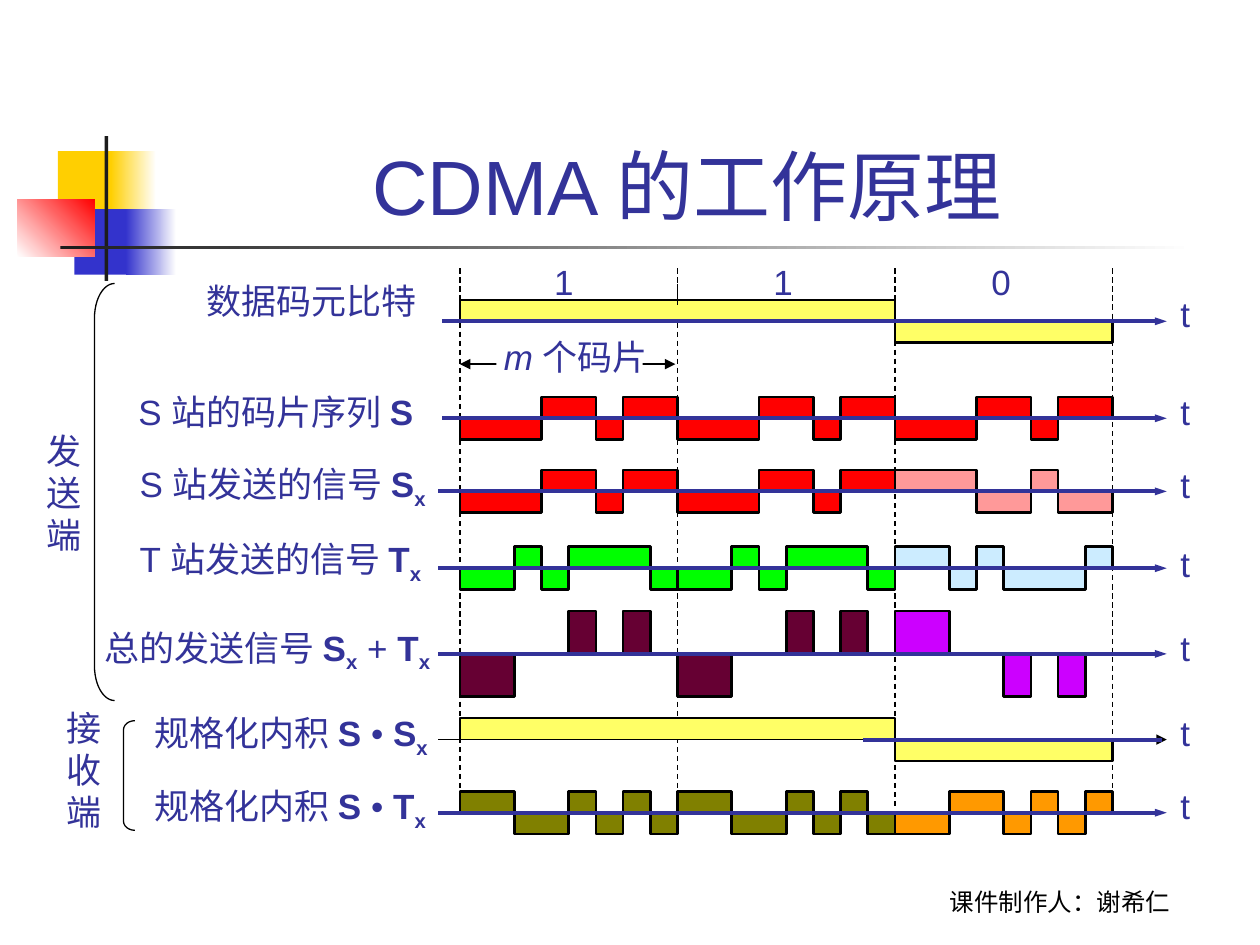
from lxml import etree
from pptx import Presentation
from pptx import util as u
from pptx.dml.color import RGBColor
from pptx.enum import dml, shapes, text
from pptx.oxml.ns import qn

COLORS = {
    "ink": "333399", "black": "000000", "white": "FFFFFF", "charcoal": "1C1C1C",
    "gold": "FFCF01", "blue": "3333CC", "red": "FF0000", "pink": "FF9999",
    "green": "00FF00", "sky": "CCECFF", "wine": "660033", "violet": "CC00FF",
    "yellow": "FFFF66", "olive": "808000", "orange": "FF9900",
}
LABEL = {"size": u.Pt(20), "name": "Arial"}
TITLE = {"size": u.Pt(44), "name": "Arial"}
CREDIT = {"size": u.Pt(14), "name": "Cabin"}

# Time scale: three bits of eight chips each
START, END, CHIPS = 3.65, 8.83, 8
BIT = (END - START) / 3
CHIP = BIT / CHIPS
AMPLITUDE = 0.17

# Signals: every row follows from the data bits and the two chip sequences
DATA = [1, 1, -1]
S = [-1, -1, -1, 1, 1, -1, 1, 1]
T = [-1, -1, 1, -1, 1, 1, 1, -1]
SUM = [s + t for s, t in zip(S, T)]
PRODUCT = [s * t for s, t in zip(S, T)]


def rgb(color):
    return RGBColor.from_string(COLORS[color])


def style_run(run, color, formats):
    for attribute, value in formats.items():
        setattr(run.font, attribute, value)
    run.font.color.rgb = rgb(color)


def add_label(slide, box, paragraphs, color="ink", formats=LABEL, spacing=None):
    """Each paragraph is a list of (text, marks); marks: b bold, i italic, x subscript."""
    label = slide.shapes.add_textbox(*map(u.Inches, box))
    frame = label.text_frame
    frame.word_wrap = False
    frame.auto_size = text.MSO_AUTO_SIZE.SHAPE_TO_FIT_TEXT
    for index, runs in enumerate(paragraphs):
        paragraph = frame.add_paragraph() if index else frame.paragraphs[0]
        if spacing:
            paragraph.line_spacing = spacing
        for words, marks in runs:
            run = paragraph.add_run()
            run.text = words
            style_run(run, color, {**formats, "bold": "b" in marks, "italic": "i" in marks})
            if "x" in marks:
                run._r.get_or_add_rPr().set("baseline", "-25000")
    return frame


def add_block(slide, box, *fill, angle=0):
    """Rectangle with one colour, or a gradient between two."""
    block = slide.shapes.add_shape(shapes.MSO_SHAPE.RECTANGLE, *map(u.Inches, box))
    block.shadow.inherit = False
    block.line.fill.background()
    if len(fill) == 1:
        block.fill.solid()
        block.fill.fore_color.rgb = rgb(fill[0])
    else:
        block.fill.gradient()
        block.fill.gradient_angle = angle
        for stop, color in zip(block.fill.gradient_stops, fill):
            stop.color.rgb = rgb(color)


def add_line(slide, begin, end, color="black", width=0.75, dashed=False, arrows=()):
    line = slide.shapes.add_connector(
        shapes.MSO_CONNECTOR.STRAIGHT, *map(u.Inches, (*begin, *end)))
    line.line.color.rgb = rgb(color)
    line.line.width = u.Pt(width)
    if dashed:
        line.line.dash_style = dml.MSO_LINE.DASH
    for arrow in arrows:
        etree.SubElement(line.line._get_or_add_ln(), qn(f"a:{arrow}"),
                         type="triangle", w="sm" if width > 1 else "med")
    etree.SubElement(line._element.spPr, qn("a:effectLst"))


def add_wave(slide, left, baseline, levels, step, color):
    """Square wave around the baseline, one level per step."""
    corners, previous = [], 0
    for index, level in enumerate(levels + [0]):
        if level != previous:
            x = left + index * step
            corners += [(x, baseline - previous * AMPLITUDE), (x, baseline - level * AMPLITUDE)]
            previous = level
    end = (left + len(levels) * step, baseline)
    if corners[-1] != end:
        corners.append(end)
    points = [tuple(map(u.Inches, corner)) for corner in corners]
    builder = slide.shapes.build_freeform(*points[0])
    builder.add_line_segments(points[1:], close=False)
    wave = builder.convert_to_shape()
    wave.shadow.inherit = False
    wave.fill.solid()
    wave.fill.fore_color.rgb = rgb(color)
    wave.line.color.rgb = rgb("black")
    wave.line.width = u.Pt(1.5)


def add_chip_row(slide, baseline, chips, signs, colors):
    for bit, (sign, color) in enumerate(zip(signs, colors)):
        levels = [sign * chip for chip in chips]
        add_wave(slide, START + bit * BIT, baseline, levels, CHIP, color)


def add_bracket(slide, box):
    bracket = slide.shapes.add_shape(shapes.MSO_SHAPE.LEFT_BRACKET, *map(u.Inches, box))
    bracket.adjustments[0] = box[3] / 12 / box[2]
    bracket.shadow.inherit = False
    bracket.fill.background()
    bracket.line.color.rgb = rgb("black")
    bracket.line.width = u.Pt(0.75)


def add_ornament(slide):
    add_block(slide, (0.46, 1.2, 0.48, 0.52), "gold")
    add_block(slide, (0.88, 1.2, 0.36, 0.52), "gold", "white")
    add_block(slide, (0.59, 1.66, 0.46, 0.52), "blue")
    add_block(slide, (1, 1.66, 0.4, 0.52), "blue", "white")
    add_block(slide, (0.14, 1.58, 0.61, 0.46), "white", "red", angle=45)
    add_block(slide, (0.83, 1.08, 0.03, 1.15), "charcoal")
    add_block(slide, (0.48, 1.95, 9, 0.03), "charcoal", "white")


def add_title(slide):
    title = slide.shapes.title
    box = {"left": 1.26, "top": 0.28, "width": 8.52, "height": 1.6}
    for side, length in box.items():
        setattr(title, side, u.Inches(length))
    title.text_frame.vertical_anchor = text.MSO_ANCHOR.BOTTOM
    paragraph = title.text_frame.paragraphs[0]
    paragraph.alignment = text.PP_ALIGN.CENTER
    run = paragraph.add_run()
    run.text = "CDMA 的工作原理 "
    style_run(run, "ink", TITLE)


def main():
    prs = Presentation()
    prs.slide_width, prs.slide_height = u.Inches(10), u.Inches(7.5)
    slide = prs.slides.add_slide(prs.slide_layouts[5])
    add_ornament(slide)
    add_title(slide)

    # Bit boundaries and chip span
    add_line(slide, (START, 2.89), (5.36, 2.89), arrows=("headEnd", "tailEnd"))
    for boundary, bottom in enumerate((6.28, 6.26, 6.42, 6.27)):
        x = START + boundary * BIT
        add_line(slide, (x, 2.13), (x, bottom), dashed=True)
    add_block(slide, (3.94, 2.72, 1.16, 0.3), "white")
    add_label(slide, (3.9, 2.61, 1.41, 0.44), [[("m ", "i"), ("个码片", "")]])

    # Waveforms
    add_wave(slide, START, 2.55, DATA, BIT, "yellow")
    add_line(slide, (START + BIT, 2.25), (START + BIT, 2.42))
    add_chip_row(slide, 3.32, S, [1, 1, 1], ["red"] * 3)
    add_chip_row(slide, 3.9, S, DATA, ["red", "red", "pink"])
    add_chip_row(slide, 4.51, T, DATA, ["green", "green", "sky"])
    add_chip_row(slide, 5.19, SUM, DATA, ["wine", "wine", "violet"])
    add_wave(slide, START, 5.87, DATA, BIT, "yellow")
    add_chip_row(slide, 6.45, PRODUCT, DATA, ["olive", "olive", "orange"])

    # Time axes
    for left, baseline in ((3.51, 2.55), (3.51, 3.32), (3.48, 3.9),
                           (3.48, 4.51), (3.48, 5.19), (3.48, 6.45)):
        add_line(slide, (left, baseline), (9.26, baseline), "ink", 2.25, arrows=("tailEnd",))
    add_line(slide, (3.48, 5.87), (9.26, 5.87), arrows=("tailEnd",))
    add_line(slide, (6.85, 5.87), (9.22, 5.87), "ink", 2.25)
    for top in (2.27, 3.05, 3.63, 4.26, 4.92, 5.6, 6.18):
        add_label(slide, (9.27, top, 0.27, 0.44), [[("t", "")]])

    # Bit values
    for left, value in zip((4.3, 6.04, 7.77), DATA):
        add_label(slide, (left, 2.02, 0.35, 0.44), [[("1" if value > 0 else "0", "")]])

    # Row names, each box slightly wider than its text so it stays on one line
    s_x, t_x = [("S", "b"), ("x", "bx")], [("T", "b"), ("x", "bx")]
    inner = [("规格化内积 ", ""), ("S ", "b"), ("• ", "")]
    add_label(slide, (1.54, 2.17, 1.91, 0.44), [[("数据码元比特", "")]])
    add_label(slide, (1, 3.1, 2.55, 0.39), [[("S 站的码片序列 ", ""), ("S", "b")]], spacing=0.85)
    for box, runs in (
        ((1.01, 3.62, 2.64, 0.48), [("S 站发送的信号 ", "")] + s_x),
        ((1.01, 4.22, 2.61, 0.48), [("T 站发送的信号 ", "")] + t_x),
        ((0.73, 4.92, 2.89, 0.48), [("总的发送信号 ", "")] + s_x + [(" + ", "")] + t_x),
        ((1.13, 5.6, 2.47, 0.48), inner + s_x),
        ((1.13, 6.18, 2.46, 0.48), inner + t_x),
    ):
        add_label(slide, box, [runs])

    # Sender and receiver groups
    for left, top, side in ((0.27, 3.36, "发送端"), (0.43, 5.56, "接收端")):
        add_label(slide, (left, top, 0.48, 1.1), [[(letter, "")] for letter in side])
    add_bracket(slide, (0.75, 2.25, 0.16, 3.31))
    add_bracket(slide, (0.98, 5.72, 0.09, 0.87))

    # Author line
    credit = add_label(slide, (6.83, 6.82, 3.17, 0.5), [[("课件制作人：谢希仁", "")]],
                       "black", CREDIT)
    credit.word_wrap = True
    credit.auto_size = text.MSO_AUTO_SIZE.NONE
    credit.vertical_anchor = text.MSO_ANCHOR.BOTTOM
    credit.paragraphs[0].alignment = text.PP_ALIGN.CENTER

    prs.save("out.pptx")


if __name__ == "__main__":
    main()
